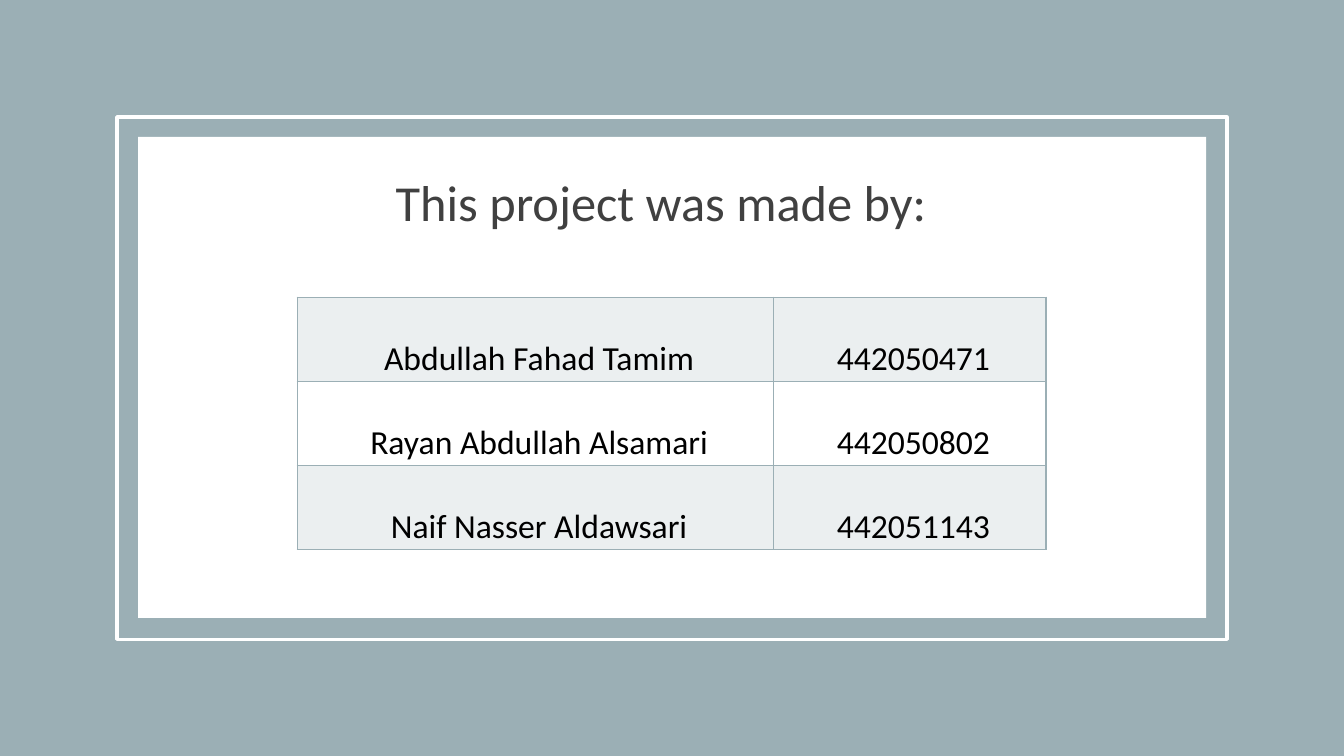
from dataclasses import dataclass
from typing import Optional

from lxml.etree import SubElement
from pptx import Presentation
from pptx.dml.color import RGBColor
from pptx.enum.shapes import MSO_SHAPE
from pptx.enum.text import PP_ALIGN
from pptx.oxml.ns import qn
from pptx.util import Cm, Pt


@dataclass(frozen=True)
class Theme:
    slate: str = "9BAFB5"
    white: str = "FFFFFF"
    grey: str = "404040"
    black: str = "000000"
    font: str = "Calibri"
    title: int = 36
    body: int = 24


@dataclass(frozen=True)
class Panel:
    left: float
    top: float
    width: float
    height: float
    fill: Optional[str] = None
    line: Optional[str] = None


@dataclass(frozen=True)
class Member:
    name: str
    number: str


THEME = Theme()
WIDE, HIGH = 33.87, 19.05
PANELS = [
    Panel(0, 0, WIDE, HIGH, fill=THEME.slate),
    Panel(3.48, 3.45, 26.92, 12.12, fill=THEME.white),
    Panel(2.95, 2.95, 27.97, 13.16, line=THEME.white),
]
MEMBERS = [
    Member("Abdullah Fahad Tamim", "442050471"),
    Member("Rayan Abdullah Alsamari", "442050802"),
    Member("Naif Nasser Aldawsari", "442051143"),
]
COLS = (12.01, 6.86)
ROW = 2.12


def draw_panel(slide, panel: Panel) -> None:
    shape = slide.shapes.add_shape(
        MSO_SHAPE.RECTANGLE,
        Cm(panel.left), Cm(panel.top), Cm(panel.width), Cm(panel.height))
    shape.shadow.inherit = False
    if panel.fill:
        shape.fill.solid()
        shape.fill.fore_color.rgb = RGBColor.from_string(panel.fill)
    else:
        shape.fill.background()
    if panel.line:
        shape.line.color.rgb = RGBColor.from_string(panel.line)
        shape.line.width = Pt(2.5)
    else:
        shape.line.fill.background()


def write(frame, text: str, size: int, color: str, space: float):
    """Put one centred run into the frame and return its paragraph."""
    para = frame.paragraphs[0]
    para.alignment = PP_ALIGN.CENTER
    para.line_spacing = space
    run = para.add_run()
    run.text = text
    run.font.name = THEME.font
    run.font.size = Pt(size)
    run.font.color.rgb = RGBColor.from_string(color)
    return para


def draw_title(slide, text: str) -> None:
    box = slide.shapes.add_textbox(Cm(4.47), Cm(4.37), Cm(24.38), Cm(10.06))
    box.text_frame.word_wrap = True
    para = write(box.text_frame, text, THEME.title, THEME.grey, 0.9)
    para.space_before = Pt(10)


def style_cell(cell, shade: bool) -> None:
    # Borders come before the fill in the cell properties
    props = cell._tc.get_or_add_tcPr()
    for side in ("a:lnL", "a:lnR", "a:lnT", "a:lnB"):
        line = SubElement(props, qn(side), w=str(Pt(1)))
        solid = SubElement(line, qn("a:solidFill"))
        SubElement(solid, qn("a:srgbClr"), val=THEME.slate)
    if shade:
        cell.fill.solid()
        cell.fill.fore_color.rgb = RGBColor.from_string(THEME.slate)
        tint = props.find(qn("a:solidFill")).find(qn("a:srgbClr"))
        SubElement(tint, qn("a:alpha"), val="20000")
    else:
        cell.fill.background()
    cell.margin_left = cell.margin_right = Cm(0.18)
    cell.margin_top = cell.margin_bottom = 0


def draw_table(slide, team: list[Member]) -> None:
    table = slide.shapes.add_table(
        len(team), len(COLS), Cm(7.49), Cm(7.49),
        Cm(sum(COLS)), Cm(ROW * len(team))).table
    table.first_row = table.horz_banding = False
    for col, width in zip(table.columns, COLS):
        col.width = Cm(width)
    for i, member in enumerate(team):
        table.rows[i].height = Cm(ROW)
        for j, text in enumerate((member.name, member.number)):
            cell = table.cell(i, j)
            style_cell(cell, shade=i % 2 == 0)
            para = write(cell.text_frame, text, THEME.body, THEME.black, 2.0)
            # Hanging indent
            props = para._p.get_or_add_pPr()
            props.set("marL", str(Cm(0.97)))
            props.set("indent", str(Cm(-0.79)))


def main() -> None:
    deck = Presentation()
    deck.slide_width, deck.slide_height = Cm(WIDE), Cm(HIGH)
    slide = deck.slides.add_slide(deck.slide_layouts[6])

    # Backdrop, card and frame
    for panel in PANELS:
        draw_panel(slide, panel)

    # Heading and team list
    draw_title(slide, "This project was made by:")
    draw_table(slide, MEMBERS)
    deck.save("out.pptx")


if __name__ == "__main__":
    main()
